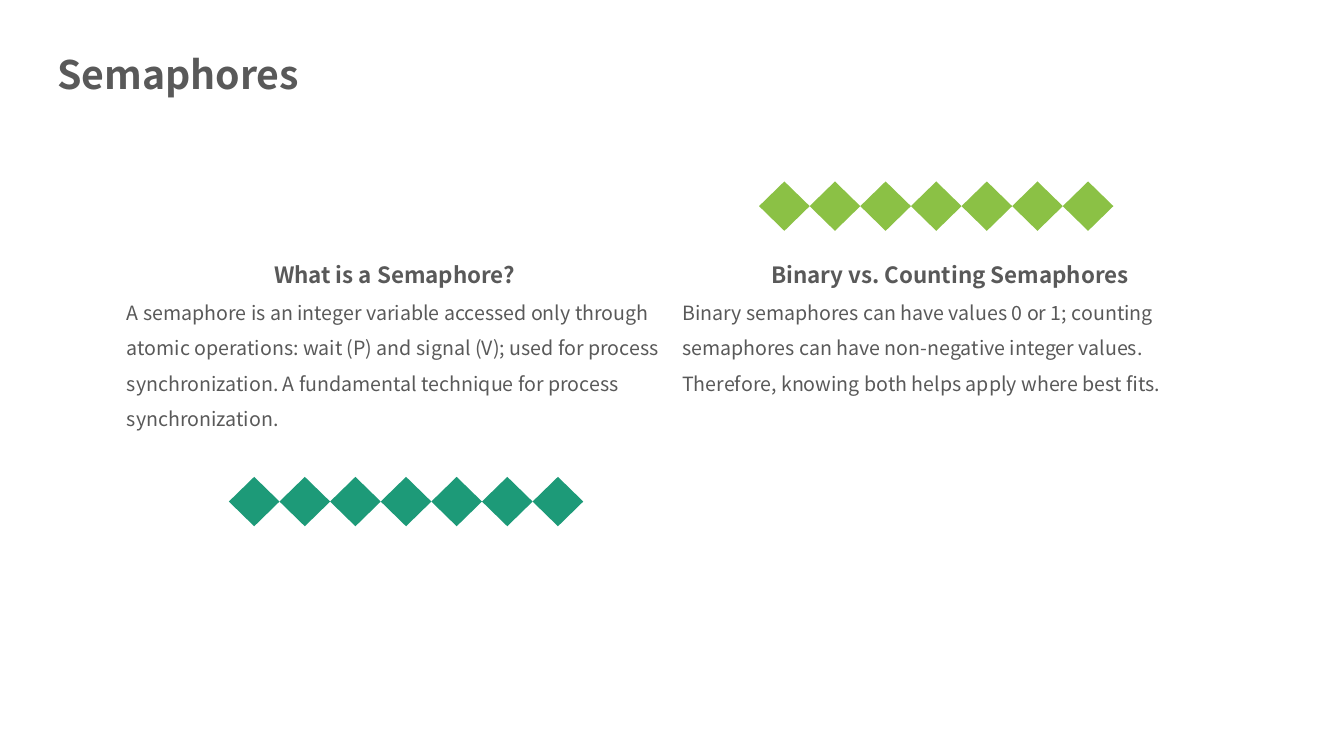
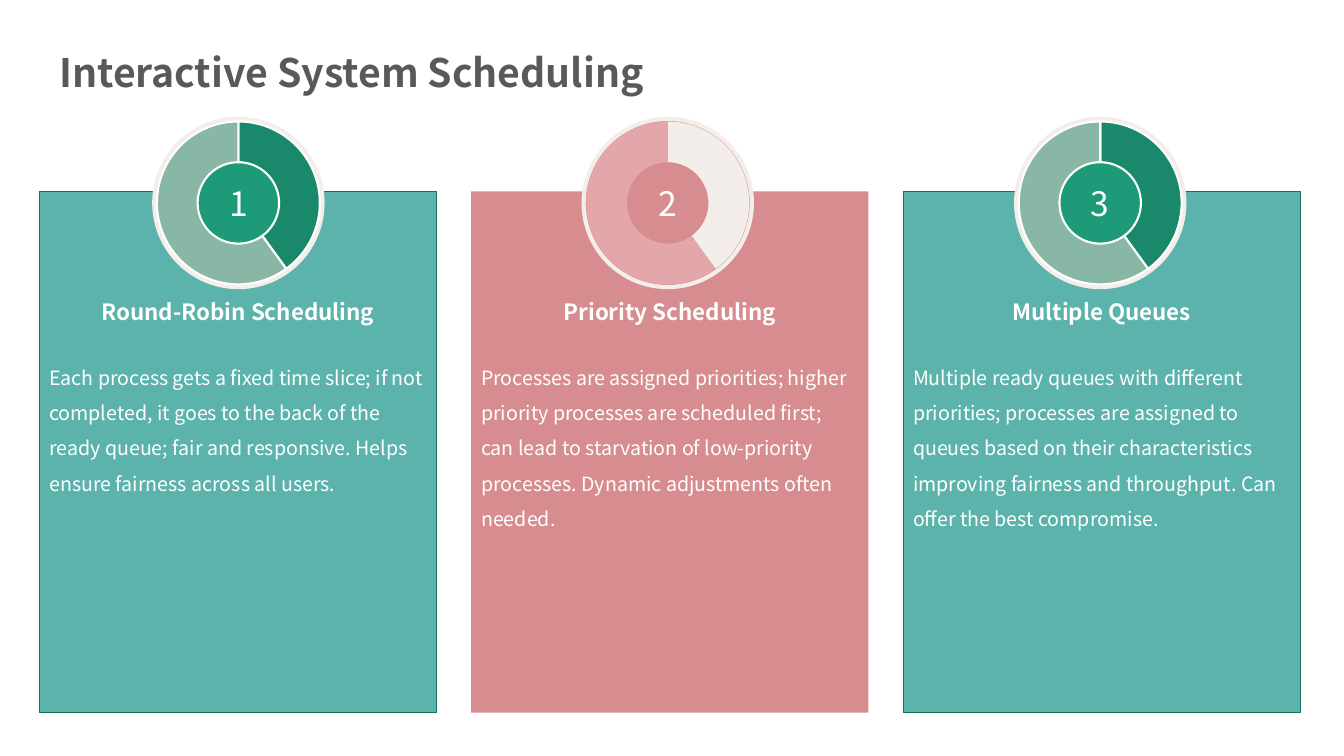
from dataclasses import dataclass

from lxml import etree
from pptx import Presentation
from pptx.chart.data import CategoryChartData
from pptx.dml.color import RGBColor
from pptx.enum.chart import XL_CHART_TYPE
from pptx.enum.shapes import MSO_SHAPE
from pptx.enum.text import PP_ALIGN
from pptx.oxml import parse_xml
from pptx.oxml.ns import nsdecls, qn
from pptx.util import Pt

DIAMOND, RECT, OVAL = MSO_SHAPE.DIAMOND, MSO_SHAPE.RECTANGLE, MSO_SHAPE.OVAL
DOUGHNUT = XL_CHART_TYPE.DOUGHNUT
LEFT, CENTER = PP_ALIGN.LEFT, PP_ALIGN.CENTER

FONT = "Noto Sans CJK SC"
CHART_FONT = "Calibri"
GREY = RGBColor(0x59, 0x59, 0x59)
WHITE = RGBColor(0xFF, 0xFF, 0xFF)
CREAM = RGBColor(0xF3, 0xEE, 0xEA)
GREEN = RGBColor(0x1D, 0x9A, 0x78)
LIME = RGBColor(0x8B, 0xC1, 0x45)
TEAL = RGBColor(0x5C, 0xB3, 0xAB)
DARK_GREEN = RGBColor(0x1A, 0x89, 0x6B)
EDGE_GREEN = RGBColor(0x15, 0x71, 0x58)
SAGE = RGBColor(0x88, 0xB8, 0xA5)
ROSE = RGBColor(0xD7, 0x8D, 0x8F)
PALE_ROSE = RGBColor(0xE4, 0xA7, 0xA9)
BLACK = RGBColor(0, 0, 0)

DIAMOND_COUNT = 7
DIAMOND_W, DIAMOND_H = 36.16, 35.3
COLUMN_LEFT, COLUMN_W = 83.5, 396.7
CARD_LEFT, CARD_TOP, CARD_W, CARD_H = 28.1, 136.8, 283.7, 372.2
CARD_STEP = 308.5
DISC_CY, DISC_D = 145, 120.2
CHART_W, CHART_H, RING_D = 203.8, 135.4, 116.4


@dataclass(frozen=True)
class Topic:
    heading: str
    body: str
    color: RGBColor
    row_left: float
    row_top: float


@dataclass(frozen=True)
class Theme:
    card: RGBColor
    disc: RGBColor
    slices: tuple[RGBColor, RGBColor]
    edge: RGBColor | None = None
    slice_line: RGBColor | None = None


@dataclass(frozen=True)
class Card:
    heading: str
    body: str
    theme: Theme
    disc_cx: float


GREEN_THEME = Theme(TEAL, GREEN, (DARK_GREEN, SAGE), EDGE_GREEN, WHITE)
ROSE_THEME = Theme(ROSE, ROSE, (CREAM, PALE_ROSE))

TOPICS = [
    Topic("What is a Semaphore?",
          "A semaphore is an integer variable accessed only through atomic "
          "operations: wait (P) and signal (V); used for process synchronization. "
          "A fundamental technique for process synchronization.",
          GREEN, 163.5, 340.6),
    Topic("Binary vs. Counting Semaphores",
          "Binary semaphores can have values 0 or 1; counting semaphores can have "
          "non-negative integer values. Therefore, knowing both helps apply where "
          "best fits.",
          LIME, 542.2, 129.6),
]

CARDS = [
    Card("Round-Robin Scheduling",
         "Each process gets a fixed time slice; if not completed, it goes to the "
         "back of the ready queue; fair and responsive. Helps ensure fairness "
         "across all users.",
         GREEN_THEME, 170.3),
    Card("Priority Scheduling",
         "Processes are assigned priorities; higher priority processes are "
         "scheduled first; can lead to starvation of low-priority processes. "
         "Dynamic adjustments often needed.",
         ROSE_THEME, 477),
    Card("Multiple Queues",
         "Multiple ready queues with different priorities; processes are assigned "
         "to queues based on their characteristics improving fairness and "
         "throughput. Can offer the best compromise.",
         GREEN_THEME, 785.9),
]


def add_text(s, text: str, x: float, y: float, w: float, h: float, *,
             size: float, color: RGBColor = GREY, bold: bool = False,
             align=LEFT, spacing: float = 1.0, before: float = 0,
             wrap: bool = True) -> None:
    tf = s.shapes.add_textbox(Pt(x), Pt(y), Pt(w), Pt(h)).text_frame
    tf.word_wrap = wrap
    p = tf.paragraphs[0]
    p.alignment = align
    p.line_spacing = spacing
    p.space_before = Pt(before)
    r = p.add_run()
    r.text = text
    r.font.name = FONT
    r.font.size = Pt(size)
    r.font.bold = bold
    r.font.color.rgb = color


def add_title(s, text: str, x: float, y: float) -> None:
    add_text(s, text, x, y, 680.4, 41, size=28, bold=True)


def add_heading(s, text: str, x: float, y: float, w: float, color: RGBColor) -> None:
    add_text(s, text, x, y, w, 28.8, size=16, color=color, bold=True,
             align=CENTER, spacing=1.2, before=3.2)


def add_body(s, text: str, x: float, y: float, w: float, h: float,
             color: RGBColor) -> None:
    add_text(s, text, x, y, w, h, size=14, color=color, spacing=1.5, before=2.8)


def add_figure(shapes, kind, x: float, y: float, w: float, h: float,
               fill: RGBColor, line: RGBColor | None = None,
               line_w: float = 0.5) -> None:
    sp = shapes.add_shape(kind, Pt(x), Pt(y), Pt(w), Pt(h))
    sp.shadow.inherit = False
    sp.fill.solid()
    sp.fill.fore_color.rgb = fill
    if line is None:
        sp.line.fill.background()
    else:
        sp.line.color.rgb = line
        sp.line.width = Pt(line_w)


def add_diamond_row(s, topic: Topic) -> None:
    row = s.shapes.add_group_shape()
    for i in range(DIAMOND_COUNT):
        add_figure(row.shapes, DIAMOND, topic.row_left + i * DIAMOND_W,
                   topic.row_top, DIAMOND_W, DIAMOND_H, topic.color)


def set_ring_layout(chart) -> None:
    space = chart._chartSpace
    w, h = RING_D / CHART_W, RING_D / CHART_H
    layout = parse_xml(f'<c:layout {nsdecls("c")}><c:manualLayout/></c:layout>')
    settings = [("layoutTarget", "inner"), ("xMode", "edge"), ("yMode", "edge"),
                ("x", f"{(1 - w) / 2:.4f}"), ("y", f"{(1 - h) / 2:.4f}"),
                ("w", f"{w:.4f}"), ("h", f"{h:.4f}")]
    for tag, value in settings:
        etree.SubElement(layout[0], qn(f"c:{tag}")).set("val", value)
    plot_area = space.find(".//" + qn("c:plotArea"))
    for old in plot_area.findall(qn("c:layout")):
        plot_area.remove(old)
    plot_area.insert(0, layout)
    space.find(".//" + qn("c:holeSize")).set("val", "75")
    space.find(qn("c:chart")).addnext(parse_xml(
        f'<c:spPr {nsdecls("c", "a")}><a:noFill/><a:ln><a:noFill/></a:ln></c:spPr>'))


def add_ring(s, cx: float, theme: Theme) -> None:
    data = CategoryChartData()
    data.categories = ["1", "2"]
    data.add_series("Series 1", (40, 60))
    chart = s.shapes.add_chart(
        DOUGHNUT, Pt(cx - CHART_W / 2), Pt(DISC_CY - CHART_H / 2),
        Pt(CHART_W), Pt(CHART_H), data).chart
    chart.has_legend = False
    chart.has_title = False
    chart.font.name = CHART_FONT
    chart.font.size = Pt(10)
    chart.font.color.rgb = BLACK
    for i, color in enumerate(theme.slices):
        fmt = chart.plots[0].series[0].points[i].format
        fmt.fill.solid()
        fmt.fill.fore_color.rgb = color
        if theme.slice_line is None:
            fmt.line.fill.background()
        else:
            fmt.line.color.rgb = theme.slice_line
            fmt.line.width = Pt(1.5)
    set_ring_layout(chart)


def add_card(s, i: int, card: Card) -> None:
    x, cx, theme = CARD_LEFT + i * CARD_STEP, card.disc_cx, card.theme
    add_figure(s.shapes, RECT, x, CARD_TOP, CARD_W, CARD_H, theme.card, theme.edge)
    add_figure(s.shapes, OVAL, cx - DISC_D / 2, DISC_CY - DISC_D / 2,
               DISC_D, DISC_D, theme.disc, CREAM, 3)
    add_ring(s, cx, theme)
    add_text(s, str(i + 1), cx - 14, 126.9, 28, 36, size=24, color=WHITE,
             align=CENTER, wrap=False)
    add_body(s, card.body, x, 249.2, CARD_W, 110, WHITE)
    add_heading(s, card.heading, x, 205.8, CARD_W, WHITE)


def build_semaphores(s) -> None:
    add_title(s, "Semaphores", 33.8, 32.4)
    for i, topic in enumerate(TOPICS):
        x = COLUMN_LEFT + i * COLUMN_W
        add_diamond_row(s, topic)
        add_body(s, topic.body, x, 203, COLUMN_W, 60, GREY)
        add_heading(s, topic.heading, x, 179.3, COLUMN_W, GREY)


def build_scheduling(s) -> None:
    add_title(s, "Interactive System Scheduling", 35.3, 31)
    for i, card in enumerate(CARDS):
        add_card(s, i, card)


def main() -> None:
    prs = Presentation()
    prs.slide_width, prs.slide_height = Pt(960), Pt(540)
    for build in (build_semaphores, build_scheduling):
        build(prs.slides.add_slide(prs.slide_layouts[6]))
    prs.save("out.pptx")


if __name__ == "__main__":
    main()
